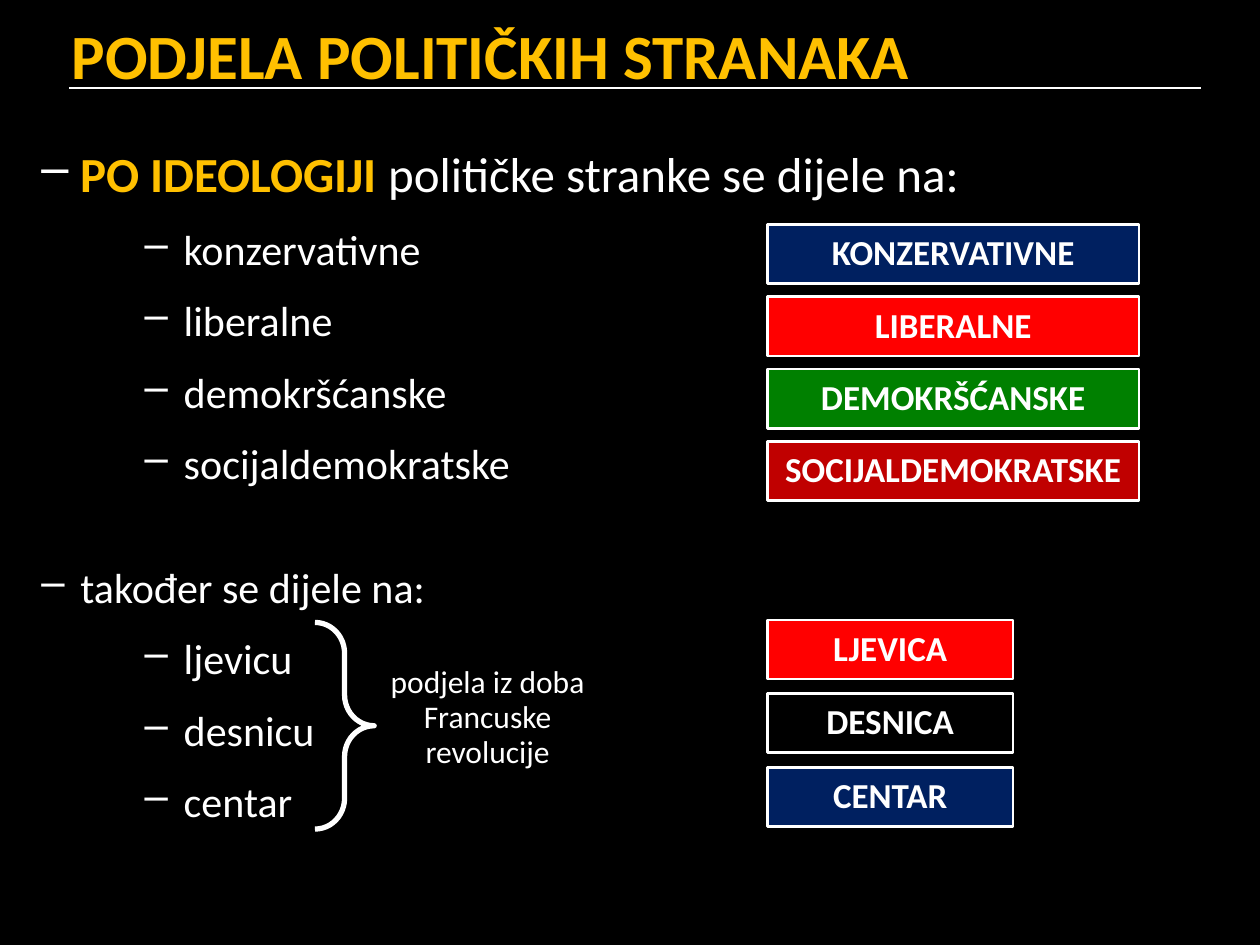
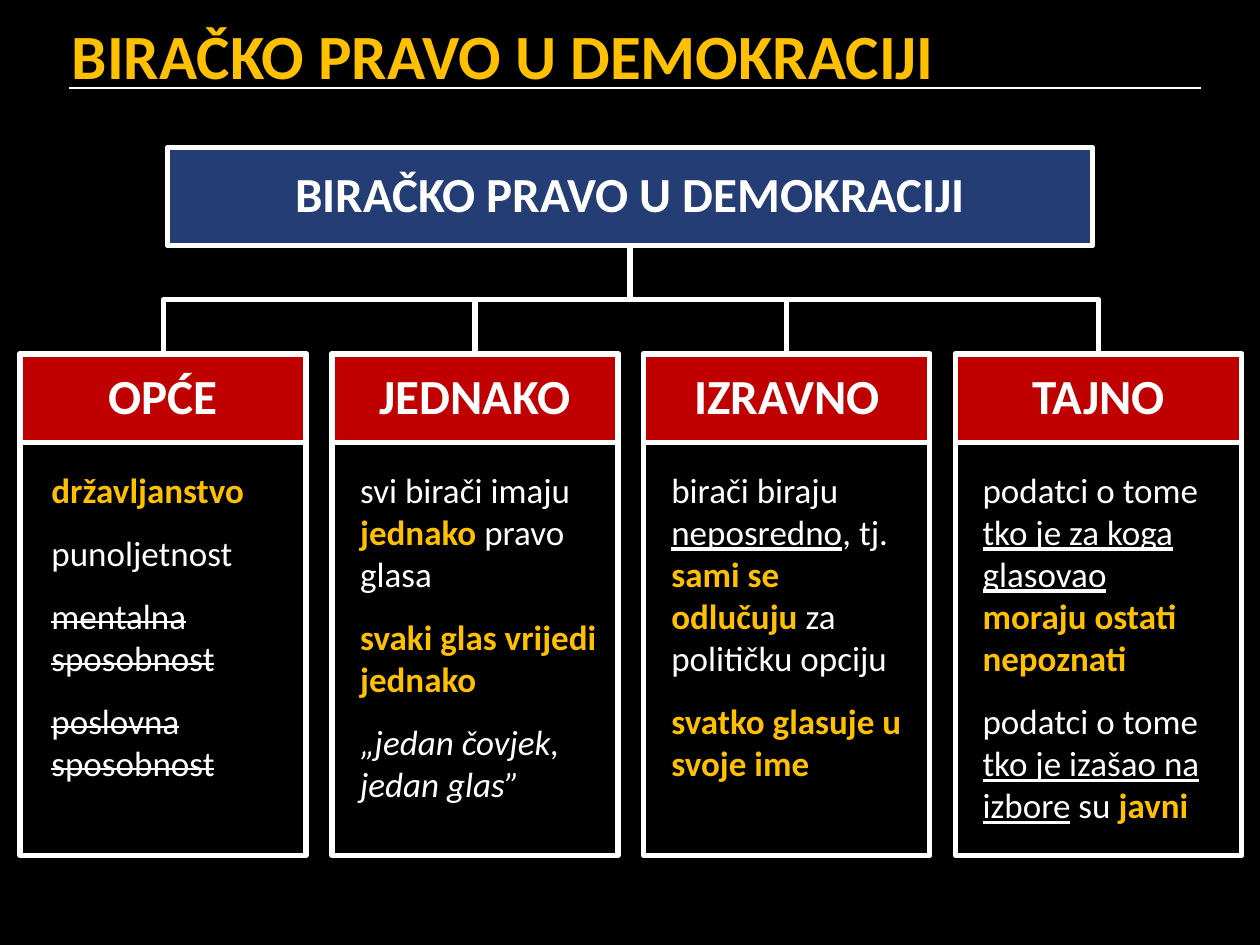
import pptx
import pptx.util
import pptx.dml.color
import pptx.enum.shapes
import pptx.enum.text
import pptx.oxml.ns
from lxml import etree

Inches = pptx.util.Inches
Pt = pptx.util.Pt
SHAPE = pptx.enum.shapes.MSO_SHAPE
LINK = pptx.enum.shapes.MSO_CONNECTOR
ALIGN = pptx.enum.text.PP_ALIGN
ANCHOR = pptx.enum.text.MSO_ANCHOR
qn = pptx.oxml.ns.qn

FONT = "Calibri"
WHITE, BLACK, GOLD = "FFFFFF", "000000", "FFC000"
NAVY, BLUE, RED, DARK, GREEN = "002060", "253D75", "FF0000", "C00000", "008000"


def color(code):
    return pptx.dml.color.RGBColor.from_string(code)


def place(left, top, width, height):
    return [Inches(n) for n in (left, top, width, height)]


def bullet(par, indent):
    props = par._p.get_or_add_pPr()
    props.set("marL", str(Inches(indent)))
    props.set("indent", str(-Inches(0.31)))
    tint = etree.SubElement(props, qn("a:buClr"))
    etree.SubElement(tint, qn("a:srgbClr")).set("val", WHITE)
    etree.SubElement(props, qn("a:buChar")).set("char", "–")


def write(frame, text, size=20, bold=False, tint=WHITE, align=ALIGN.LEFT,
          before=0, lines=None, level=0, indent=None):
    first = frame.paragraphs[0]
    par = frame.add_paragraph() if first.runs else first
    par.alignment = align
    par.level = level
    if indent is not None:
        bullet(par, indent)
    par.space_before = Pt(before)
    if lines:
        par.line_spacing = lines
    parts = [(text, "")] if isinstance(text, str) else text
    for words, marks in parts:
        run = par.add_run()
        run.text = words
        font = run.font
        font.name = FONT
        font.size = Pt(size)
        font.bold = bold or "b" in marks
        font.italic = "i" in marks
        font.underline = "u" in marks
        font.color.rgb = color(GOLD if "b" in marks else tint)
        if "s" in marks:
            font._element.set("strike", "sngStrike")


def note(slide, *spot):
    frame = slide.shapes.add_textbox(*place(*spot)).text_frame
    frame.word_wrap = True
    return frame


def shape(slide, kind, spot, fill=None, width=3):
    item = slide.shapes.add_shape(kind, *place(*spot))
    item.shadow.inherit = False
    if fill:
        item.fill.solid()
        item.fill.fore_color.rgb = color(fill)
    else:
        item.fill.background()
    item.line.color.rgb = color(WHITE)
    item.line.width = Pt(width)
    return item


def label(slide, text, spot, fill, size=20, width=3):
    frame = shape(slide, SHAPE.RECTANGLE, spot, fill, width).text_frame
    frame.word_wrap = True
    frame.vertical_anchor = ANCHOR.MIDDLE
    write(frame, text, size=size, bold=True, align=ALIGN.CENTER, lines=0.93)


def stack(slide, items, top, step, width):
    for i, (text, fill) in enumerate(items):
        label(slide, text, (6.09, top + i * step, width, 0.47), fill, width=1.5)


def link(slide, kind, start, end, width):
    line = slide.shapes.add_connector(kind, *place(*start, *end))
    line.line.color.rgb = color(WHITE)
    line.line.width = Pt(width)
    etree.SubElement(line._element.spPr, qn("a:effectLst"))
    return line


def branch(slide, start, end):
    (x, y), (to_x, to_y) = start, end
    mid_x, mid_y = (x + to_x) / 2, (y + to_y) / 2
    half, rise = (to_y - y) / 2, abs(to_x - x) / 2
    turn = 90
    if to_x > x:
        half, turn = -half, 270
    line = link(slide, LINK.ELBOW, (mid_x - half, mid_y - rise),
                (mid_x + half, mid_y + rise), 3)
    line._element.spPr.find(qn("a:xfrm")).set("rot", str(turn * 60000))


def page(deck, text):
    slide = deck.slides.add_slide(deck.slide_layouts[5])
    slide.background.fill.solid()
    slide.background.fill.fore_color.rgb = color(BLACK)
    link(slide, LINK.STRAIGHT, (0.55, 0.7), (9.53, 0.7), 1)
    title = slide.shapes.title
    title.left, title.top, title.width, title.height = place(0.47, 0.08, 9.53, 0.63)
    title.text_frame.vertical_anchor = ANCHOR.TOP
    write(title.text_frame, text, size=36, bold=True, tint=GOLD)
    return slide


def points(frame, items):
    for text in items:
        write(frame, text, size=24, before=12, level=1, indent=1.13)


def parties(deck):
    slide = page(deck, "PODJELA POLITIČKIH STRANAKA")
    body = note(slide, 0.23, 1.09, 9.69, 5.16)
    write(body, [("PO IDEOLOGIJI ", "b"), ("političke stranke se dijele na:", "")],
          size=28, before=12, indent=0.31)
    points(body, ["konzervativne", "liberalne", "demokršćanske", "socijaldemokratske"])
    write(body, "također se dijele na:", size=24, before=42, indent=0.31)
    points(body, ["ljevicu", "desnicu", "centar"])

    stack(slide, [("KONZERVATIVNE", NAVY), ("LIBERALNE", RED),
                  ("DEMOKRŠĆANSKE", GREEN), ("SOCIJALDEMOKRATSKE", DARK)],
          1.78, 0.575, 2.95)
    stack(slide, [("LJEVICA", RED), ("DESNICA", BLACK), ("CENTAR", NAVY)],
          4.92, 0.585, 1.95)

    brace = shape(slide, SHAPE.RIGHT_BRACE, (2.5, 4.94, 0.47, 1.64))
    brace.adjustments[0] = 0.52
    write(note(slide, 2.97, 5.23, 1.8, 0.95), "podjela iz doba Francuske revolucije",
          size=18, align=ALIGN.CENTER, lines=0.93)


def voting(deck):
    name = "BIRAČKO PRAVO U DEMOKRACIJI"
    slide = page(deck, name)
    cards = [
        ("OPĆE", 0.31, 2.03, 2.63, [
            [("državljanstvo", "b")],
            "punoljetnost",
            [("mentalna sposobnost", "s")],
            [("poslovna sposobnost", "s")]]),
        ("JEDNAKO", 2.76, 2.16, 2.79, [
            [("svi birači imaju ", ""), ("jednako ", "b"), ("pravo glasa", "")],
            [("svaki glas vrijedi jednako", "b")],
            [("„jedan čovjek, jedan glas”", "i")]]),
        ("IZRAVNO", 5.23, 2.03, 2.63, [
            [("birači biraju ", ""), ("neposredno", "u"), (", tj. ", ""),
             ("sami se odlučuju ", "b"), ("za političku opciju", "")],
            [("svatko glasuje u svoje ime", "b")]]),
        ("TAJNO", 7.7, 2.03, 2.96, [
            [("podatci o tome ", ""), ("tko je za koga glasovao", "u"), (" ", ""),
             ("moraju ostati nepoznati", "b")],
            [("podatci o tome ", ""), ("tko je izašao na izbore", "u"),
             (" su ", ""), ("javni", "b")]]),
    ]
    top, wide, step = 2.81, 2.27, 2.475
    lefts = [0.16 + i * step for i in range(len(cards))]
    for left in lefts:
        branch(slide, (5, 1.95), (left + wide / 2, top))
    label(slide, name, (1.33, 1.17, 7.34, 0.78), BLUE, size=28)
    for left, (head, text_x, text_w, text_h, paras) in zip(lefts, cards):
        label(slide, head, (left, top, wide, 0.7), DARK, size=28)
        shape(slide, SHAPE.RECTANGLE, (left, top, wide, 3.98))
        frame = note(slide, text_x, 3.67, text_w, text_h)
        for text in paras:
            write(frame, text, before=12)


def main():
    deck = pptx.Presentation()
    deck.slide_width, deck.slide_height = Inches(10), Inches(7.5)
    parties(deck)
    voting(deck)
    deck.save("out.pptx")


if __name__ == "__main__":
    main()
